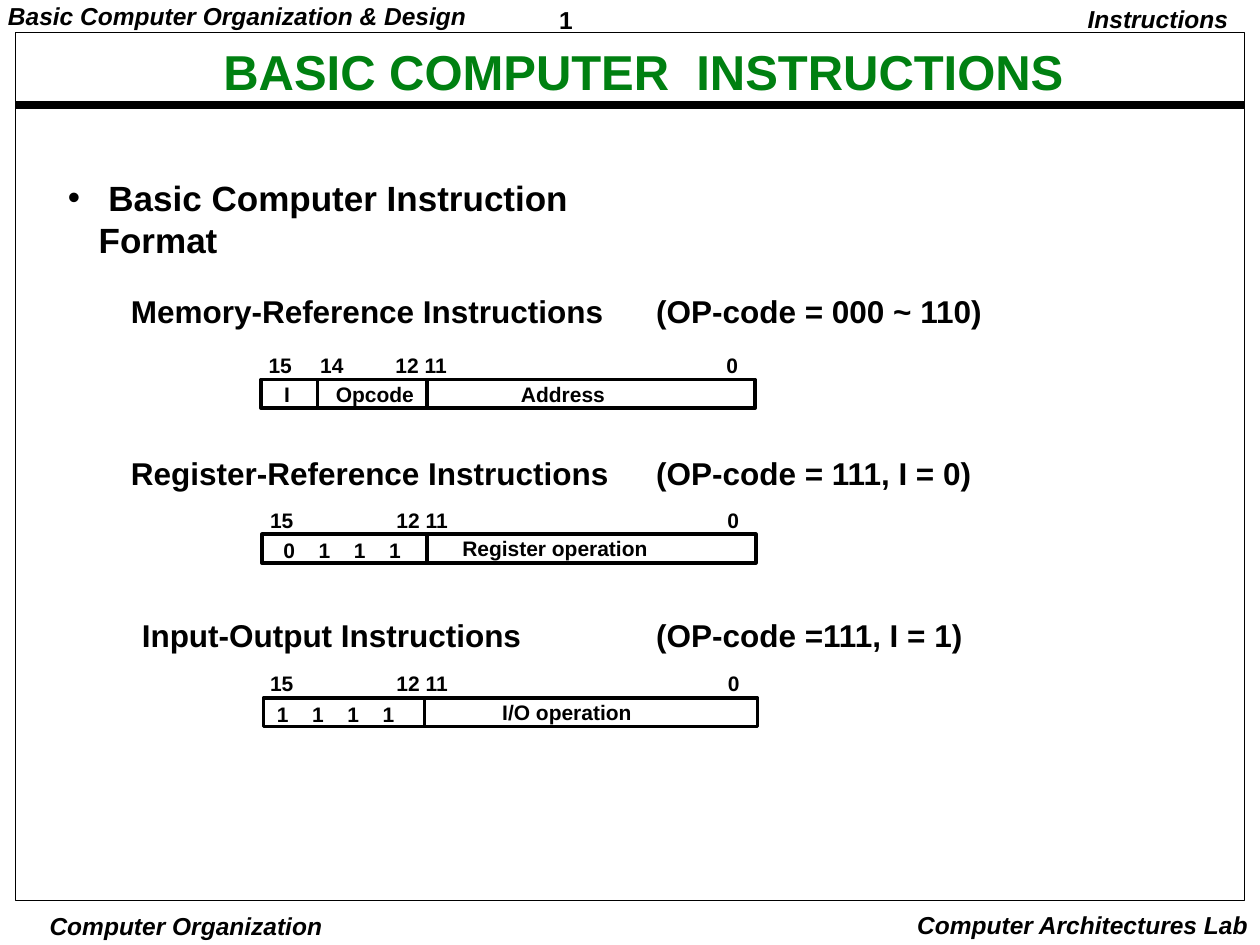
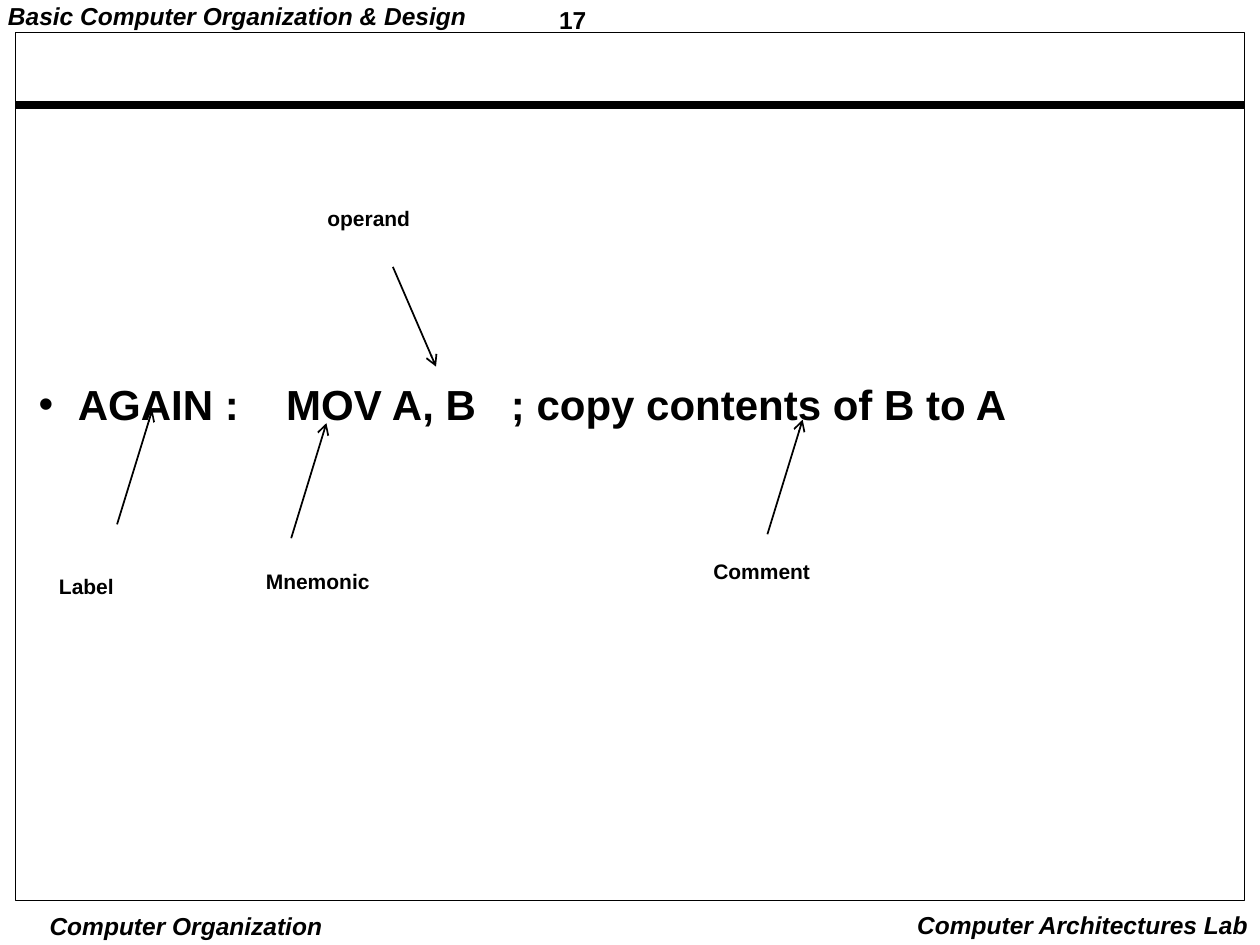
from lxml import etree
from pptx import Presentation
from pptx.dml.color import RGBColor
from pptx.enum import shapes, text
from pptx.oxml import ns
from pptx.util import Cm, Pt

FONT, INK, GREEN = "Arial", "000000", "008011"
LEFT, CENTER, RIGHT = text.PP_ALIGN.LEFT, text.PP_ALIGN.CENTER, text.PP_ALIGN.RIGHT

COURSE_HEADER = ("Basic Computer Organization & Design", 0.16, 0.32, 9.4, LEFT)
FOOTERS = [
    ("Computer Organization", 0.97, 18.67, 5.56, CENTER),
    ("Computer Architectures Lab", 18.16, 18.65, 7, RIGHT),
]
TOPIC = ("Instructions", 21.76, 0.37, 3, RIGHT)
TITLE = "BASIC COMPUTER  INSTRUCTIONS"
TOPIC_BULLET = " Basic Computer Instruction Format"

FORMATS = [
    {"heading": "Memory-Reference Instructions\t(OP-code = 000 ~ 110)",
     "heading_left": 2.64, "heading_middle": 6.27,
     "left": 5.26, "top": 7.65, "dividers": [6.4, 8.61],
     "positions": [("15", 5.65), ("14", 6.69), ("12 11", 8.49), ("0", 14.76)],
     "fields": [("I", 5.79), ("Opcode", 7.56), ("Address", 11.35)]},
    {"heading": "Register-Reference Instructions\t(OP-code = 111, I = 0)",
     "heading_left": 2.64, "heading_middle": 9.54,
     "left": 5.28, "top": 10.77, "dividers": [8.61],
     "positions": [("15", 5.68), ("12 11", 8.51), ("0", 14.78)],
     "fields": [("Register operation", 11.19)],
     "bits": "0111", "first_bit": 5.83},
    {"heading": "Input-Output Instructions\t(OP-code =111, I = 1)",
     "heading_left": 2.86, "heading_middle": 12.8,
     "left": 5.31, "top": 14.07, "dividers": [8.56],
     "positions": [("15", 5.68), ("12 11", 8.51), ("0", 14.79)],
     "fields": [("I/O operation", 11.43)],
     "bits": "1111", "first_bit": 5.7},
]
WORD_WIDTH, WORD_HEIGHT, BIT_STEP = 9.96, 0.58, 0.71
OPCODE_COLUMN = 13.23

STATEMENT = "AGAIN :\tMOV A, B\t; copy contents of B to A"
STATEMENT_TABS = [4.99, 9.52]
PARTS = [
    ("Label", 1.19, 11.81, (2.36, 10.57), (3.07, 8.26)),
    ("Mnemonic", 5.36, 11.71, (5.87, 10.85), (6.58, 8.53)),
    ("Comment", 14.38, 11.51, (15.47, 10.77), (16.18, 8.46)),
    ("operand", 6.6, 4.39, (7.92, 5.38), (8.79, 7.39)),
]


def color(value):
    return RGBColor.from_string(value)


def add_element(parent, tag, **attributes):
    return etree.SubElement(parent, ns.qn(tag), attributes)


def fill_text(box, content, size, align=LEFT, ink=INK, italic=False,
              anchor=text.MSO_ANCHOR.MIDDLE, wrap=False, bullet=None, tabs=()):
    frame = box.text_frame
    frame.margin_left = frame.margin_right = frame.margin_top = frame.margin_bottom = 0
    frame.word_wrap = wrap
    frame.auto_size = text.MSO_AUTO_SIZE.NONE
    frame.vertical_anchor = anchor
    frame.text = content
    para = frame.paragraphs[0]
    properties = para._p.get_or_add_pPr()
    if bullet:
        properties.set("marL", str(Cm(bullet)))
        properties.set("indent", str(-Cm(bullet)))
        add_element(properties, "a:buChar", char="•")
    if tabs:
        stops = add_element(properties, "a:tabLst")
        for stop in tabs:
            add_element(stops, "a:tab", pos=str(Cm(stop)), algn="l")
    para.alignment = align
    para.space_before = Pt(0)
    font = para.font
    font.name, font.size, font.bold, font.italic = FONT, Pt(size), True, italic
    font.color.rgb = color(ink)


def place(box, left, top, width, height):
    box.left, box.top, box.width, box.height = Cm(left), Cm(top), Cm(width), Cm(height)
    return box


def add_text(page, content, left, middle, width, size, align=LEFT, **style):
    height = size * 0.05
    box = page.shapes.add_textbox(Cm(left), Cm(middle - height / 2), Cm(width), Cm(height))
    fill_text(box, content, size, align, **style)


def add_label(page, content, center, middle):
    width = 0.25 * len(content) + 0.3
    add_text(page, content, center - width / 2, middle, width, 12, CENTER)


def add_line(page, start, end, weight, arrow=False):
    line = page.shapes.add_connector(
        shapes.MSO_CONNECTOR.STRAIGHT, *(Cm(value) for value in start + end))
    line.line.color.rgb = color(INK)
    line.line.width = Pt(weight)
    if arrow:
        add_element(line.line._get_or_add_ln(), "a:tailEnd", type="arrow")
    add_element(line._element.spPr, "a:effectLst")


def add_outline(page, left, top, width, height, weight):
    box = page.shapes.add_shape(
        shapes.MSO_SHAPE.RECTANGLE, Cm(left), Cm(top), Cm(width), Cm(height))
    box.shadow.inherit = False
    box.fill.background()
    box.line.color.rgb = color(INK)
    box.line.width = Pt(weight)


def add_page(deck, number):
    page = deck.slides.add_slide(deck.slide_layouts[1])
    add_text(page, number, 11.27, 0.39, 2.4, 14)
    for content, left, middle, width, align in [COURSE_HEADER] + FOOTERS:
        add_text(page, content, left, middle, width, 14, align, italic=True)
    add_line(page, (0.32, 2.11), (25.08, 2.11), 4.5)
    add_outline(page, 0.32, 0.66, 24.76, 17.5, 0.5)
    return page


def add_format(page, item):
    left, top = item["left"], item["top"]
    start = item["heading_left"]
    add_text(page, item["heading"], start, item["heading_middle"], 17.5, 18,
             tabs=[OPCODE_COLUMN - start])
    add_outline(page, left, top, WORD_WIDTH, WORD_HEIGHT, 2)
    for divider in item["dividers"]:
        add_line(page, (divider, top), (divider, top + WORD_HEIGHT), 2)
    for content, center in item["positions"]:
        add_label(page, content, center, top - 0.29)
    for content, center in item["fields"]:
        add_label(page, content, center, top + 0.29)
    for index, bit in enumerate(item.get("bits", "")):
        add_label(page, bit, item["first_bit"] + index * BIT_STEP, top + 0.33)


def build_formats(deck):
    page = add_page(deck, "1")
    fill_text(place(page.shapes.title, 4.22, 0.84, 17.5, 1.17), TITLE, 28, CENTER, GREEN)
    content, left, middle, width, align = TOPIC
    add_text(page, content, left, middle, width, 14, align, italic=True)
    fill_text(place(page.placeholders[1], 1.37, 3.56, 12.3, 1.8), TOPIC_BULLET, 20,
              anchor=text.MSO_ANCHOR.TOP, wrap=True, bullet=0.62)
    for item in FORMATS:
        add_format(page, item)


def build_statement(deck):
    page = add_page(deck, "17")
    title = page.shapes.title._element
    title.getparent().remove(title)
    fill_text(place(page.placeholders[1], 0.78, 7.39, 23.1, 1.5), STATEMENT, 24,
              wrap=True, bullet=0.79, tabs=STATEMENT_TABS)
    for name, left, middle, start, end in PARTS:
        add_line(page, start, end, 1, arrow=True)
        add_text(page, name, left, middle, 3.6, 12)


def main():
    deck = Presentation()
    deck.slide_width, deck.slide_height = Cm(25.4), Cm(19.05)
    build_formats(deck)
    build_statement(deck)
    deck.save("out.pptx")


if __name__ == "__main__":
    main()
